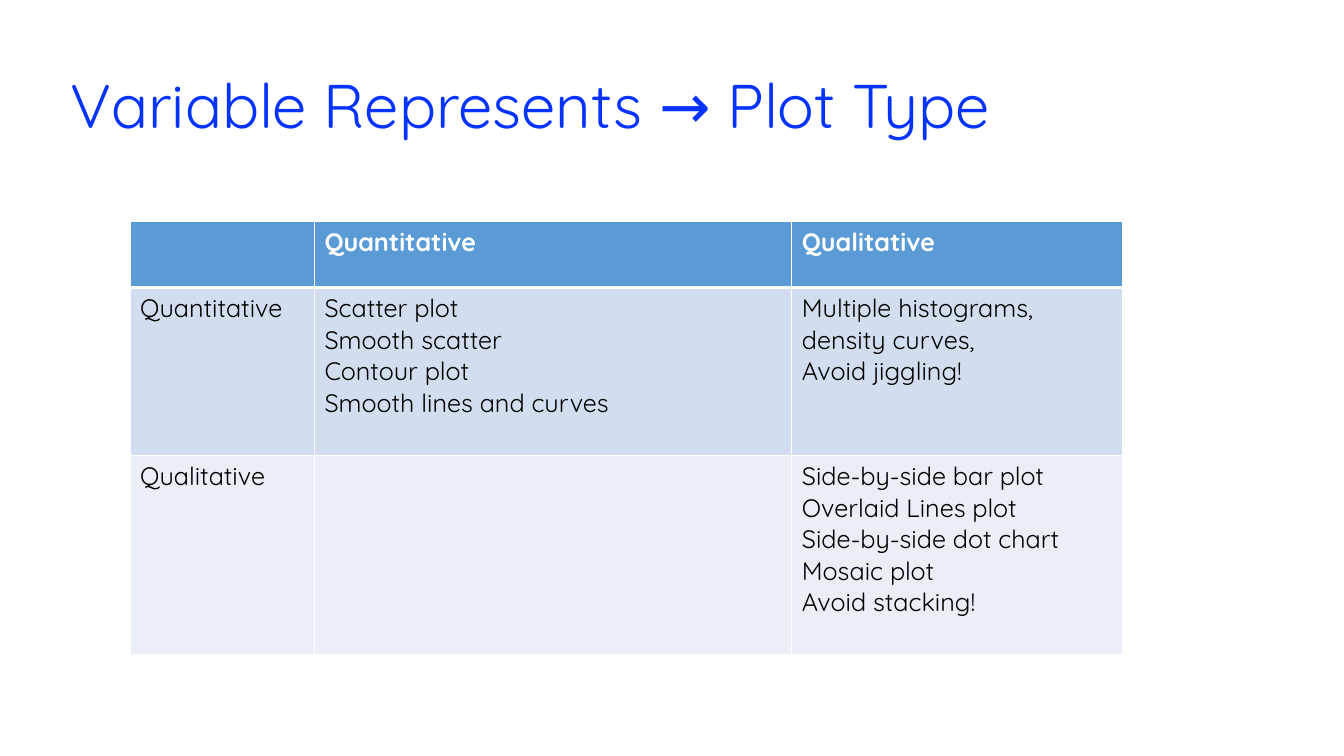
import dataclasses

import pptx
import pptx.dml.color
import pptx.enum.text
import pptx.oxml
import pptx.oxml.ns
import pptx.util

Pt = pptx.util.Pt
RGB = pptx.dml.color.RGBColor.from_string


@dataclasses.dataclass(frozen=True)
class Theme:
    font: str = "Quicksand"
    title_size: int = 44
    table_size: int = 18
    title: str = "0432FF"
    text: str = "000000"
    white: str = "FFFFFF"
    header: str = "5B9BD5"
    bands: tuple = ("D2DEEF", "EAEFF7")


def write_text(frame, lines, *, font, size, color, bold=False, spacing=None):
    """Fill a text frame with one left-aligned paragraph per line."""
    frame.word_wrap = True
    for number, line in enumerate(lines):
        paragraph = frame.add_paragraph() if number else frame.paragraphs[0]
        paragraph.alignment = pptx.enum.text.PP_ALIGN.LEFT
        paragraph.line_spacing = spacing
        run = paragraph.add_run()
        run.text = line
        run.font.name = font
        run.font.size = Pt(size)
        run.font.bold = bold
        run.font.color.rgb = RGB(color)


class SlideBuilder:
    def __init__(self, slide, theme):
        self.slide = slide
        self.theme = theme

    def title(self, text, left, top, width, height):
        heading = self.slide.shapes.title
        heading.left, heading.top = Pt(left), Pt(top)
        heading.width, heading.height = Pt(width), Pt(height)
        frame = heading.text_frame
        frame.auto_size = pptx.enum.text.MSO_AUTO_SIZE.NONE
        frame.vertical_anchor = pptx.enum.text.MSO_ANCHOR.MIDDLE
        write_text(frame, [text], font=self.theme.font,
                   size=self.theme.title_size, color=self.theme.title, spacing=0.9)

    def border(self, cell, side, width):
        properties = cell._tc.get_or_add_tcPr()
        properties.append(pptx.oxml.parse_xml(
            f'<a:ln{side} {pptx.oxml.ns.nsdecls("a")} w="{Pt(width)}">'
            f'<a:solidFill><a:srgbClr val="{self.theme.white}"/></a:solidFill>'
            f'</a:ln{side}>'))

    def table(self, rows, left, top, widths, heights):
        grid = self.slide.shapes.add_table(
            len(heights), len(widths), Pt(left), Pt(top),
            Pt(sum(widths)), Pt(sum(heights))).table
        for column, width in zip(grid.columns, widths):
            column.width = Pt(width)
        for row, height in zip(grid.rows, heights):
            row.height = Pt(height)
        for r, row in enumerate(rows):
            for c, lines in enumerate(row):
                self.cell(grid.cell(r, c), lines, r)

    def cell(self, cell, lines, row):
        theme = self.theme
        is_header = row == 0
        # A heavier rule separates the header from the body
        for side in "LRTB":
            heavy = (side == "B" and row == 0) or (side == "T" and row == 1)
            self.border(cell, side, 3 if heavy else 1)
        cell.fill.solid()
        cell.fill.fore_color.rgb = RGB(
            theme.header if is_header else theme.bands[(row - 1) % 2])
        write_text(cell.text_frame, lines, font=theme.font, size=theme.table_size,
                   color=theme.white if is_header else theme.text, bold=is_header)


# Plot types by the kinds of the two variables
PLOT_TYPES = [
    [[], ["Quantitative"], ["Qualitative"]],
    [["Quantitative"],
     ["Scatter plot", "Smooth scatter", "Contour plot", "Smooth lines and curves"],
     ["Multiple histograms, density curves,", "Avoid jiggling!"]],
    [["Qualitative"],
     [],
     ["Side-by-side bar plot", "Overlaid Lines plot", "Side-by-side dot chart",
      "Mosaic plot", "Avoid stacking!"]],
]


def main():
    presentation = pptx.Presentation()
    presentation.slide_width, presentation.slide_height = Pt(960), Pt(540)
    slide = presentation.slides.add_slide(presentation.slide_layouts[5])
    builder = SlideBuilder(slide, Theme())

    # Heading
    builder.title("Variable Represents → Plot Type", 43.5, 25.5, 850, 104)

    # Table of plot types
    builder.table(PLOT_TYPES, 92.8, 157.8,
                  widths=[131.8, 341, 236], heights=[47.5, 120, 142.5])

    presentation.save("out.pptx")


if __name__ == "__main__":
    main()
